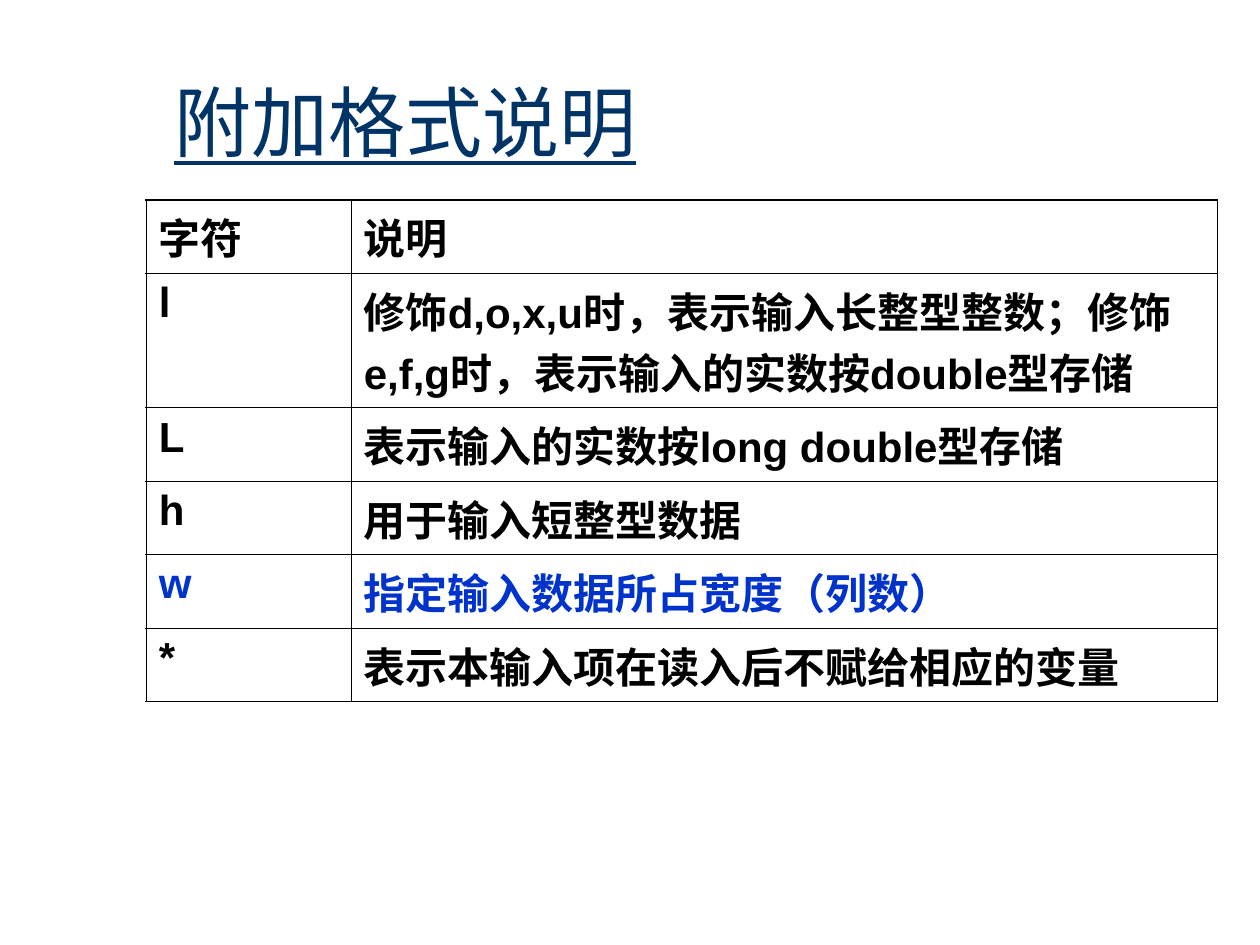
"""Build a slide with a table of additional input format characters."""
import pptx
import pptx.dml.color
import pptx.enum.lang
import pptx.enum.text
import pptx.util
from lxml import etree
from pptx.oxml.ns import qn

TITLE = "附加格式说明"
BLACK, BLUE, NAVY = "000000", "0033CC", "003366"
ROWS = [
    ("字符", "说明", BLACK),
    ("l", "修饰d,o,x,u时，表示输入长整型整数；修饰e,f,g时，表示输入的实数按double型存储", BLACK),
    ("L", "表示输入的实数按long double型存储", BLACK),
    ("h", "用于输入短整型数据", BLACK),
    ("w", "指定输入数据所占宽度（列数）", BLUE),
    ("*", "表示本输入项在读入后不赋给相应的变量", BLACK),
]
COLUMN_WIDTHS = (4.13, 17.46)
ROW_HEIGHTS = (1.48, 2.71, 1.48, 1.48, 1.48, 1.48)
TABLE_LEFT, TABLE_TOP = 2.95, 4.03
OUTER_LINE, INNER_LINE = 1.1, 0.45

Cm = pptx.util.Cm
Pt = pptx.util.Pt


def format_text(text_frame, font_name, size, color, bold=False, underline=False):
    font = text_frame.paragraphs[0].runs[0].font
    font.name = font_name
    font.size = Pt(size)
    font.bold = bold
    font.underline = underline
    font.language_id = pptx.enum.lang.MSO_LANGUAGE_ID.SIMPLIFIED_CHINESE
    font.color.rgb = pptx.dml.color.RGBColor.from_string(color)


def add_border(cell, side, width):
    properties = cell._tc.get_or_add_tcPr()
    line = etree.SubElement(properties, qn(f"a:ln{side}"), w=str(Pt(width)))
    fill = etree.SubElement(line, qn("a:solidFill"))
    etree.SubElement(fill, qn("a:srgbClr"), val=BLACK)


def add_title(slide):
    box = slide.shapes.add_textbox(Cm(3.26), Cm(0.84), Cm(21.59), Cm(3.18))
    frame = box.text_frame
    frame.word_wrap = True
    frame.vertical_anchor = pptx.enum.text.MSO_ANCHOR.MIDDLE
    frame.text = TITLE
    format_text(frame, "Comic Neue", 44, NAVY, underline=True)


def add_format_table(slide):
    last_row, last_column = len(ROWS) - 1, len(COLUMN_WIDTHS) - 1
    table = slide.shapes.add_table(
        len(ROWS), len(COLUMN_WIDTHS), Cm(TABLE_LEFT), Cm(TABLE_TOP),
        Cm(sum(COLUMN_WIDTHS)), Cm(sum(ROW_HEIGHTS))).table
    table.first_row = table.horz_banding = False
    for column, width in zip(table.columns, COLUMN_WIDTHS):
        column.width = Cm(width)
    for row, height in zip(table.rows, ROW_HEIGHTS):
        row.height = Cm(height)
    for row_index, (*texts, color) in enumerate(ROWS):
        for column_index, text in enumerate(texts):
            cell = table.cell(row_index, column_index)
            cell.text_frame.text = text
            format_text(cell.text_frame, "Arial", 24, color, bold=True)
            outer_sides = {
                "L": column_index == 0,
                "R": column_index == last_column,
                "T": row_index == 0,
                "B": row_index == last_row,
            }
            for side, is_outer in outer_sides.items():
                add_border(cell, side, OUTER_LINE if is_outer else INNER_LINE)
            cell.fill.background()


def main():
    presentation = pptx.Presentation()
    presentation.slide_width = Cm(25.4)
    presentation.slide_height = Cm(19.05)
    slide = presentation.slides.add_slide(presentation.slide_layouts[6])
    add_title(slide)
    add_format_table(slide)
    presentation.save("out.pptx")


if __name__ == "__main__":
    main()
